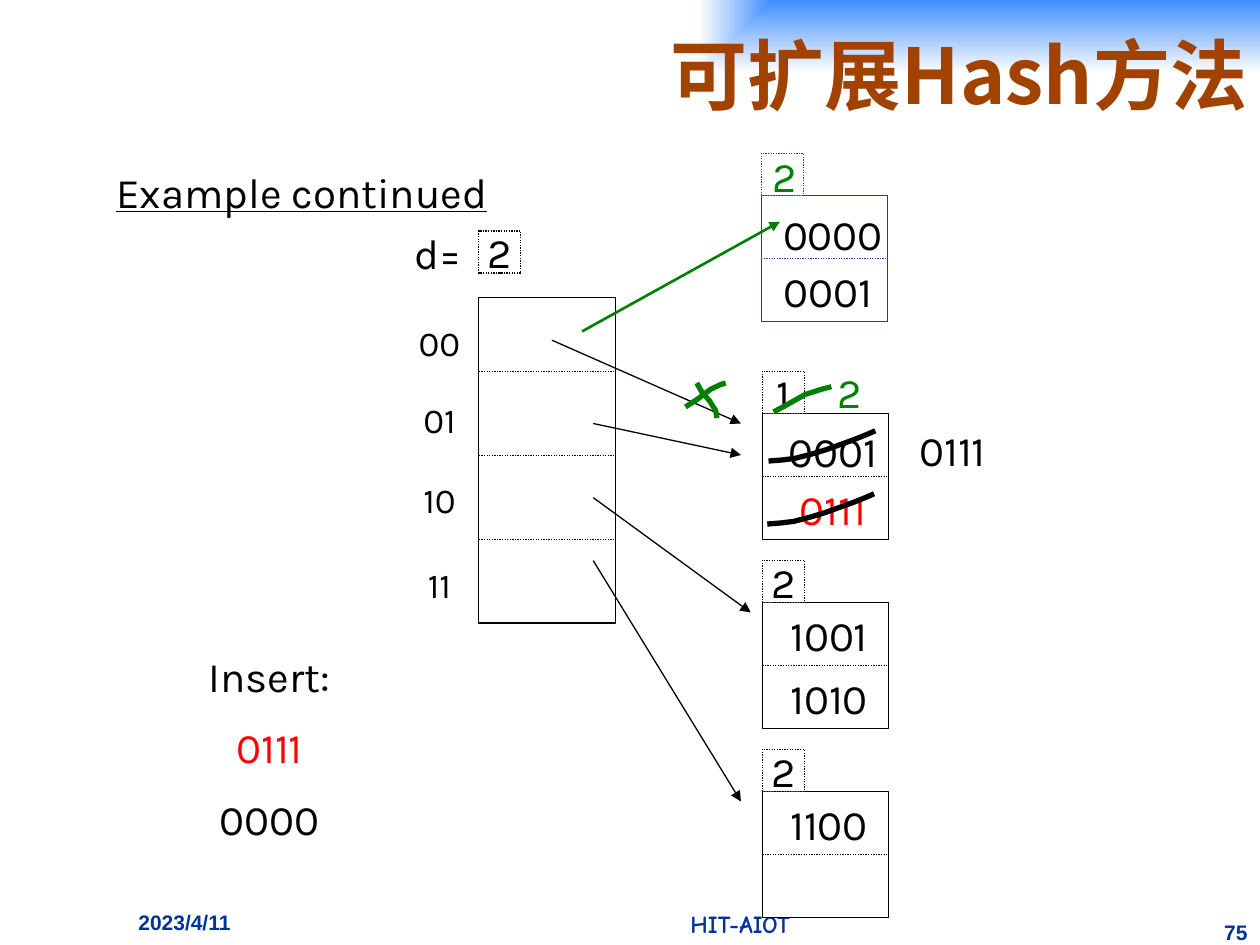
import dataclasses

import pptx
import pptx.dml.color
import pptx.enum.dml
import pptx.enum.shapes
import pptx.enum.text
import pptx.oxml.ns
import pptx.util
from lxml import etree

Pt = pptx.util.Pt
qn = pptx.oxml.ns.qn
rgb = pptx.dml.color.RGBColor.from_string
Align = pptx.enum.text.PP_ALIGN
Anchor = pptx.enum.text.MSO_ANCHOR
RECTANGLE = pptx.enum.shapes.MSO_SHAPE.RECTANGLE
STRAIGHT = pptx.enum.shapes.MSO_CONNECTOR.STRAIGHT
DOTTED = pptx.enum.dml.MSO_LINE.ROUND_DOT


@dataclasses.dataclass(frozen=True)
class Theme:
    ink: str = "000000"
    paper: str = "FFFFFF"
    sky: str = "3F8DFF"
    title: str = "A24200"
    footer: str = "003399"
    new_bucket: str = "333399"
    inserted: str = "FF0000"
    change: str = "008000"
    title_font: str = "Noto Sans CJK SC"
    body_font: str = "Karla"
    footer_font: str = "Arial"
    brush_font: str = "Comic Neue"
    title_size: float = 44
    body_size: float = 24
    index_size: float = 20
    mark_size: float = 14
    footer_size: float = 12
    thin: float = 0.75
    arrow: float = 1.5
    stroke: float = 3


theme = Theme()


def write(frame, text, size=theme.body_size, color=theme.ink, font=theme.body_font,
          align=Align.CENTER, anchor=Anchor.MIDDLE, bold=False):
    frame.text = text
    frame.word_wrap = False
    frame.vertical_anchor = anchor
    for paragraph in frame.paragraphs:
        paragraph.alignment = align
        for run in paragraph.runs:
            run.font.size = Pt(size)
            run.font.name = font
            run.font.bold = bold
            run.font.color.rgb = rgb(color)


def connect(start, end, color=theme.ink, width=theme.thin, dotted=False, arrow=False):
    connector = slide.shapes.add_connector(STRAIGHT, *map(Pt, start + end))
    connector.line.color.rgb = rgb(color)
    connector.line.width = Pt(width)
    if dotted:
        connector.line.dash_style = DOTTED
    if arrow:
        etree.SubElement(connector.line._get_or_add_ln(), qn("a:tailEnd")).set("type", "triangle")
    etree.SubElement(connector._element.spPr, qn("a:effectLst"))
    return connector


deck = pptx.Presentation()
deck.slide_width, deck.slide_height = Pt(720), Pt(540)
slide = deck.slides.add_slide(deck.slide_layouts[5])

# Title on a gradient that spreads from the top right corner
title = slide.shapes.title
title.left, title.top, title.width, title.height = Pt(78), Pt(0), Pt(642), Pt(84)
title.fill.gradient()
for stop, color in zip(title.fill.gradient_stops, (theme.sky, theme.paper)):
    stop.color.rgb = rgb(color)
for position, stop in enumerate(title.fill.gradient_stops):
    stop.position = position
gradient = title._element.spPr.find(qn("a:gradFill"))
gradient.remove(gradient.find(qn("a:lin")))
spread = etree.SubElement(gradient, qn("a:path"))
spread.set("path", "rect")
focus = etree.SubElement(spread, qn("a:fillToRect"))
focus.set("l", "100000")
focus.set("b", "100000")
write(title.text_frame, "可扩展Hash方法", theme.title_size, theme.title, theme.title_font,
      Align.RIGHT, bold=True)
title.text_frame.word_wrap = True
title.text_frame.auto_size = pptx.enum.text.MSO_AUTO_SIZE.NONE
for run in title.text_frame.paragraphs[0].runs:
    etree.SubElement(run.font._element, qn("a:ea")).set("typeface", theme.title_font)

# Footer
for text, left, top, width, height, size, font, align in (
    ("2023/4/11", 72, 516, 126, 24, theme.footer_size, theme.footer_font, Align.LEFT),
    ("HIT-AIOT", 252, 516, 342, 24, theme.mark_size, theme.brush_font, Align.CENTER),
    ("75", 690, 522, 30, 18, theme.footer_size, theme.footer_font, Align.RIGHT),
):
    footer = slide.shapes.add_textbox(Pt(left), Pt(top), Pt(width), Pt(height))
    write(footer.text_frame, text, size, theme.footer, font, align, Anchor.TOP, True)
    footer.text_frame.word_wrap = True

# Directory and buckets, each with its depth in a dotted box
BUCKET, DEPTH = 72, 24
bucket_left = 435.6
directory_left, directory_top, directory_width, directory_height = 273.6, 170, 78, 186
for left, top, width, height, depth, depth_top, color in (
    (bucket_left, 236.2, BUCKET, BUCKET, "1", 212.2, theme.ink),
    (bucket_left, 344.2, BUCKET, BUCKET, "2", 320.2, theme.ink),
    (bucket_left, 452.2, BUCKET, BUCKET, "2", 428.2, theme.ink),
    (bucket_left - 0.6, 111.6, BUCKET, BUCKET, "", 87.6, theme.new_bucket),
    (directory_left, directory_top, directory_width, directory_height, "2", 132, theme.ink),
):
    store = slide.shapes.add_shape(RECTANGLE, Pt(left), Pt(top), Pt(width), Pt(height))
    depth_box = slide.shapes.add_shape(RECTANGLE, Pt(left), Pt(depth_top), Pt(DEPTH), Pt(DEPTH))
    for box in (store, depth_box):
        box.shadow.inherit = False
        box.fill.solid()
        box.fill.fore_color.rgb = rgb(theme.paper)
        box.line.color.rgb = rgb(color)
        box.line.width = Pt(theme.thin)
    depth_box.line.dash_style = DOTTED
    if depth:
        write(depth_box.text_frame, depth)
    if width == BUCKET:
        middle = top + height / 2
        divider = connect((left, middle), (left + width, middle), color, dotted=True)
        divider.begin_connect(store, 1)
        divider.end_connect(store, 3)

for row_top in (212.4, 260.2, 308.2):
    connect((directory_left, row_top), (directory_left + directory_width, row_top), dotted=True)

# Labels
LABEL_HEIGHT, KEY = 36.7, 76.3
for text, left, top, width, color in (
    ("Example continued", 49, 91.4, 247, theme.ink),
    ("d=", 225.4, 126, 49.7, theme.ink),
    ("0000", 437.8, 115.2, KEY, theme.ink),
    ("0001", 434.9, 147.6, KEY, theme.ink),
    ("0001", 437.8, 239, KEY, theme.ink),
    ("0111", 437.8, 272.2, KEY, theme.inserted),
    ("0111", 506.2, 238.3, KEY, theme.ink),
    ("1001", bucket_left, 344.2, KEY, theme.ink),
    ("1010", bucket_left, 380.2, KEY, theme.ink),
    ("1100", bucket_left, 452.2, KEY, theme.ink),
    ("2", 433.4, 82.1, 30.2, theme.change),
    ("2", 470.2, 205.2, 30.2, theme.change),
):
    label = slide.shapes.add_textbox(Pt(left), Pt(top), Pt(width), Pt(LABEL_HEIGHT))
    write(label.text_frame, text, color=color)
    label.text_frame.paragraphs[0].runs[0].font.underline = text == "Example continued"

inserts = slide.shapes.add_textbox(Pt(105), Pt(365), Pt(98), Pt(124))
write(inserts.text_frame, "Insert:\n0111\n0000")
for paragraph in inserts.text_frame.paragraphs[1:]:
    paragraph.space_before = Pt(theme.body_size / 2)
inserts.text_frame.paragraphs[1].runs[0].font.color.rgb = rgb(theme.inserted)

indexes = slide.shapes.add_textbox(Pt(231), Pt(176.4), Pt(40.3), Pt(177))
write(indexes.text_frame, "00\n01\n10\n11", theme.index_size)
for paragraph, spacing in zip(indexes.text_frame.paragraphs[1:], (1.4, 1.5, 1.6)):
    paragraph.space_before = Pt(theme.index_size / 2)
    paragraph.line_spacing = spacing

# Pointers from the directory to the buckets
for start, end in (
    ((315.4, 194.4), (423.4, 242)),
    ((339, 242), (423.4, 260)),
    ((339, 284.4), (429, 350)),
    ((339, 320.4), (423.4, 458)),
):
    connect(start, end, arrow=True)
connect((332.6, 189.4), (445.7, 126.7), theme.change, theme.arrow, arrow=True)

# Hand-drawn strokes over the values that change
key_strike = ((0, 17.3), (7.8, 16.7), (15, 15.8), (24, 13.5), (33, 10.8), (49, 5), (56, 2.2), (61, 0))
cross_rising = ((0, 13.7), (6.8, 9.3), (14.3, 3.6), (20.2, 0.8), (23, 0))
cross_falling = ((0, 0), (3, 5.3), (7.2, 10.1), (10.8, 15.8), (11.5, 20))
depth_strike = ((0, 14.4), (9.3, 9.4), (18, 4.5), (27.4, 1.5), (33, 0))
for left, top, points, color in (
    (438.5, 282.2, key_strike, theme.ink),
    (439.2, 246.2, key_strike, theme.ink),
    (391.7, 218.9, cross_rising, theme.change),
    (398.2, 218.9, cross_falling, theme.change),
    (442.1, 221, depth_strike, theme.change),
):
    placed = [(Pt(left + x), Pt(top + y)) for x, y in points]
    outline = slide.shapes.build_freeform(*placed[0])
    outline.add_line_segments(placed[1:], close=False)
    stroke = outline.convert_to_shape()
    stroke.shadow.inherit = False
    stroke.fill.background()
    stroke.line.color.rgb = rgb(color)
    stroke.line.width = Pt(theme.stroke)

deck.save("out.pptx")
